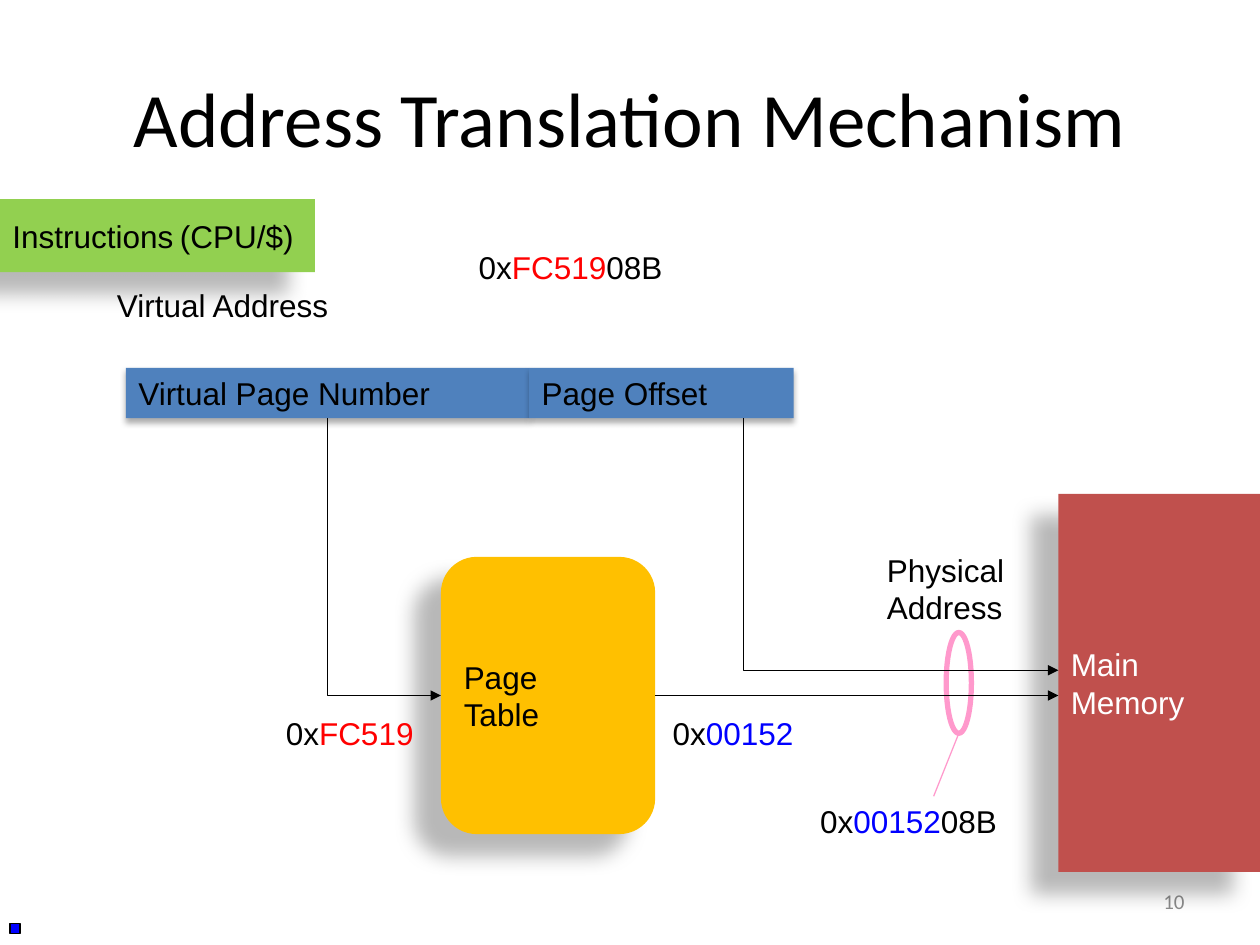
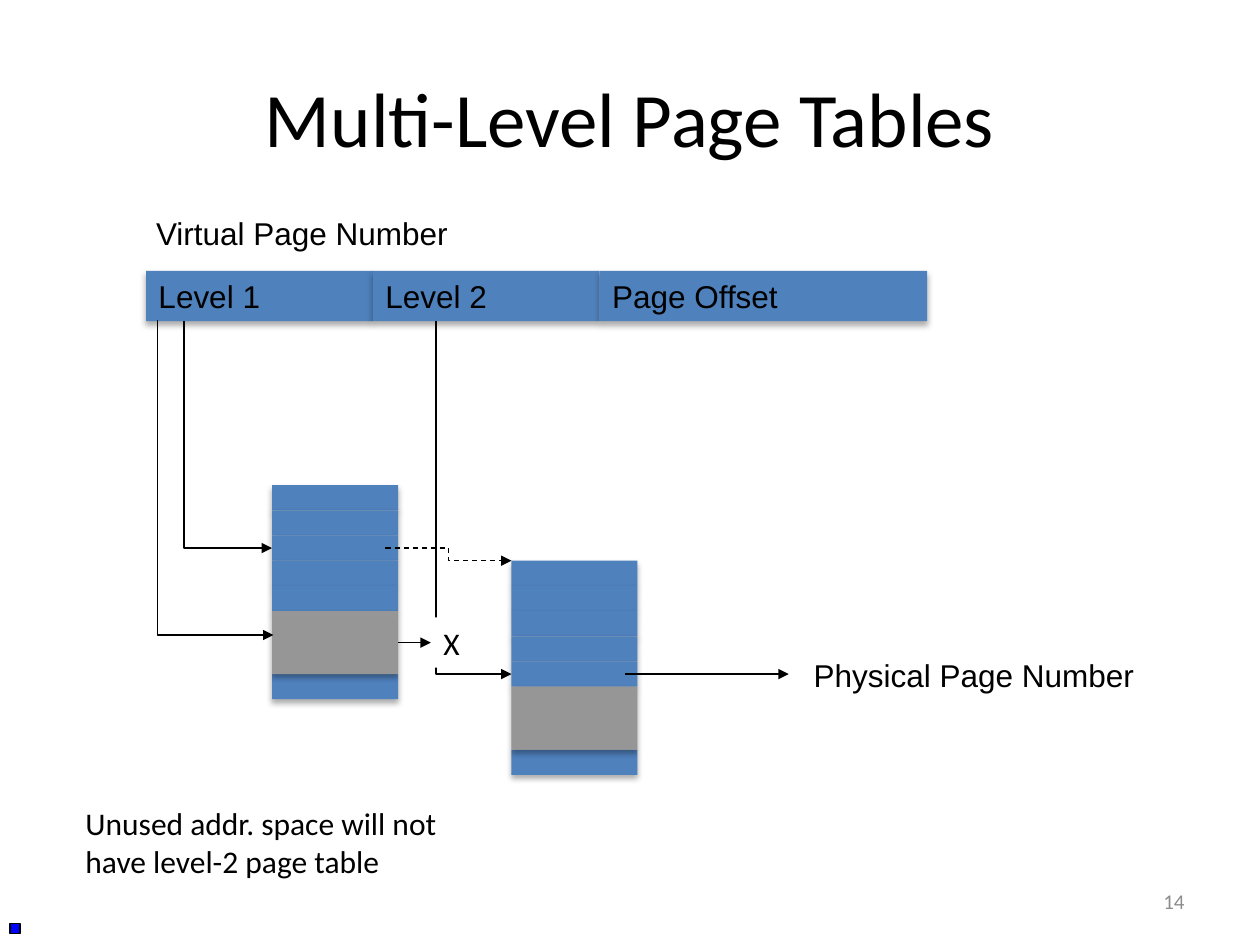
from lxml import etree
from pptx import Presentation
from pptx.dml.color import RGBColor
from pptx.enum.dml import MSO_LINE
from pptx.enum.shapes import MSO_CONNECTOR, MSO_SHAPE
from pptx.enum.text import MSO_ANCHOR, PP_ALIGN
from pptx.oxml.ns import qn
from pptx.util import Inches, Pt

RECT, ROUND, OVAL = MSO_SHAPE.RECTANGLE, MSO_SHAPE.ROUNDED_RECTANGLE, MSO_SHAPE.OVAL
STRAIGHT, DASH = MSO_CONNECTOR.STRAIGHT, MSO_LINE.DASH
LEFT, CENTER, RIGHT = PP_ALIGN.LEFT, PP_ALIGN.CENTER, PP_ALIGN.RIGHT
TOP, MIDDLE = MSO_ANCHOR.TOP, MSO_ANCHOR.MIDDLE

COLORS = {
    "black": "000000", "white": "FFFFFF", "blue": "4F81BD", "gold": "FFC000",
    "red": "C0504D", "green": "92D050", "gray": "969696", "pink": "FF99CC",
    "virtual": "FF0000", "physical": "0000FF", "number": "8C8C8C",
}
SHADOWS = {
    "soft": {"alpha": 32, "blur": 3.5, "distance": 2.2, "angle": 90},
    "deep": {"alpha": 28, "blur": 11.8, "distance": 19.7, "angle": 141},
}
PREFIX, OFFSET = ("0x", "black"), ("08B", "black")
VIRTUAL, PHYSICAL = ("FC519", "virtual"), ("00152", "physical")

TRANSLATION = {
    "title": "Address Translation Mechanism",
    "number": "10",
    "fields": (1, 2.92, [("Virtual Page Number", 3.2), ("Page Offset", 2.1)]),
    "blocks": [
        (ROUND, (3.5, 4.42, 1.7, 2.2), "gold", ["Page", "Table"], "black"),
        (RECT, (8.4, 3.92, 1.6, 3), "red", ["Main", "Memory"], "white"),
        (RECT, (0, 1.58, 2.5, 0.58), "green", ["Instructions"], "black"),
    ],
    "arrows": [
        [(2.6, 3.32), (2.6, 5.52), (3.5, 5.52)],
        [(5.2, 5.52), (8.4, 5.52)],
        [(5.9, 3.32), (5.9, 5.32), (8.4, 5.32)],
    ],
    "labels": [
        ((0.83, 2.22, 1.89, 0.4), ["Virtual Address"]),
        ((6.94, 4.32, 1.14, 0.71), ["Physical", "Address"]),
        ((3.7, 1.92, 1.67, 0.4), [[PREFIX, VIRTUAL, OFFSET]]),
        ((5.24, 5.62, 1.17, 0.4), [[PREFIX, PHYSICAL]]),
        ((2.17, 5.62, 1.23, 0.4), [[PREFIX, VIRTUAL]]),
        ((6.41, 6.32, 1.62, 0.4), [[PREFIX, PHYSICAL, OFFSET]]),
        ((1.33, 1.67, 1.11, 0.4), ["(CPU/$)"]),
    ],
}
MULTI_LEVEL = {
    "title": "Multi-Level Page Tables",
    "number": "14",
    "fields": (1.16, 2.15, [("Level 1", 1.8), ("Level 2", 1.8), ("Page Offset", 2.6)]),
    "tables": [(2.16, 3.85), (4.06, 4.45)],
    "arrows": [
        [(1.46, 2.55), (1.46, 4.35), (2.16, 4.35)],
        [(3.46, 2.55), (3.46, 5.35), (4.06, 5.35)],
        [(4.96, 5.35), (6.26, 5.35)],
        [(1.25, 2.54), (1.25, 5.04), (2.17, 5.04)],
        [(3.16, 5.1), (3.42, 5.1)],
    ],
    "dashed": [(3.06, 4.35), (3.56, 4.35), (3.56, 4.45), (4.06, 4.45)],
    "labels": [
        ((6.36, 5.16, 2.77, 0.4), ["Physical Page Number"]),
        ((1.14, 1.65, 2.54, 0.4), ["Virtual Page Number"]),
    ],
    "cross": "X",
    "note": "Unused addr. space will not have level-2 page table",
}


def rgb(name):
    return RGBColor.from_string(COLORS[name])


def write(box, lines, color="black", size=18, font="Arial", align=LEFT, anchor=TOP, wrap=False):
    frame = box.text_frame
    frame.word_wrap = wrap
    frame.vertical_anchor = anchor
    for index, line in enumerate(lines):
        para = frame.paragraphs[0] if index == 0 else frame.add_paragraph()
        para.alignment = align
        for text, tint in [(line, color)] if isinstance(line, str) else line:
            span = para.add_run()
            span.text = text
            span.font.size = Pt(size)
            span.font.name = font
            span.font.color.rgb = rgb(tint)


def add_label(page, place, lines, **style):
    write(page.shapes.add_textbox(*map(Inches, place)), lines, **style)


def add_box(page, place, fill=None, kind=RECT, line=None, width=0.75, shadow=None):
    box = page.shapes.add_shape(kind, *map(Inches, place))
    box.shadow.inherit = False
    if fill:
        box.fill.solid()
        box.fill.fore_color.rgb = rgb(fill)
    else:
        box.fill.background()
    if line:
        box.line.color.rgb = rgb(line)
        box.line.width = Pt(width)
    else:
        box.line.fill.background()
    if shadow:
        cast_shadow(box, **SHADOWS[shadow])
    return box


def cast_shadow(box, alpha, blur, distance, angle):
    effects = box.element.spPr.find(qn("a:effectLst"))
    outer = etree.SubElement(effects, qn("a:outerShdw"), blurRad=str(Pt(blur)),
                             dist=str(Pt(distance)), dir=str(angle * 60000), rotWithShape="0")
    tint = etree.SubElement(outer, qn("a:srgbClr"), val=COLORS["black"])
    etree.SubElement(tint, qn("a:alpha"), val=str(alpha * 1000))


def add_route(page, points, color="black", dash=None, arrow=True):
    spots = [(Inches(x), Inches(y)) for x, y in points]
    if len(spots) == 2:
        route = page.shapes.add_connector(STRAIGHT, *spots[0], *spots[1])
    else:
        builder = page.shapes.build_freeform(*spots[0])
        builder.add_line_segments(spots[1:], close=False)
        route = builder.convert_to_shape()
        route.fill.background()
    route.line.color.rgb = rgb(color)
    route.line.width = Pt(0.75)
    if dash:
        route.line.dash_style = dash
    if arrow:
        outline = route.element.spPr.find(qn("a:ln"))
        etree.SubElement(outline, qn("a:tailEnd"), type="triangle")
    etree.SubElement(route.element.spPr, qn("a:effectLst"))


def add_fields(page, left, top, fields):
    for text, width in fields:
        box = add_box(page, (left, top, width, 0.4), "blue", shadow="soft")
        write(box, [text], anchor=MIDDLE)
        left += width


def add_page_table(page, left, top, row=0.2, used=5, gap=0.5):
    rows = [top + row * index for index in range(used)]
    unused = top + row * used
    for y in rows + [unused + gap]:
        add_box(page, (left, y, 1, row), "blue", shadow="soft")
    add_box(page, (left, unused, 1, gap), "gray", shadow="soft")


def start_page(deck, content):
    page = deck.slides.add_slide(deck.slide_layouts[6])
    add_label(page, (0.5, 0.3, 9, 1.25), [content["title"]], size=44, font="Calibri",
              align=CENTER, anchor=MIDDLE, wrap=True)
    add_label(page, (7.17, 6.95, 2.33, 0.4), [content["number"]], color="number", size=12,
              font="Calibri", align=RIGHT, anchor=MIDDLE, wrap=True)
    add_box(page, (0.08, 7.33, 0.08, 0.08), "physical", line="black")
    add_fields(page, *content["fields"])
    return page


def add_flow(page, content):
    for points in content["arrows"]:
        add_route(page, points)
    for place, lines in content["labels"]:
        add_label(page, place, lines)


def build_translation(deck):
    page = start_page(deck, TRANSLATION)
    add_box(page, (7.51, 5.02, 0.2, 0.8), kind=OVAL, line="pink", width=3)
    for kind, place, fill, lines, color in TRANSLATION["blocks"]:
        box = add_box(page, place, fill, kind, shadow="deep")
        write(box, lines, color=color, anchor=MIDDLE)
    add_flow(page, TRANSLATION)
    add_route(page, [(7.61, 5.82), (7.41, 6.32)], "pink", arrow=False)


def build_multi_level(deck):
    page = start_page(deck, MULTI_LEVEL)
    for left, top in MULTI_LEVEL["tables"]:
        add_page_table(page, left, top)
    add_route(page, MULTI_LEVEL["dashed"], dash=DASH)
    add_flow(page, MULTI_LEVEL)
    cross = add_box(page, (3.42, 4.9, 0.33, 0.4), "white")
    write(cross, [MULTI_LEVEL["cross"]], font="Calibri", wrap=True)
    add_label(page, (0.58, 6.33, 3.42, 0.71), [MULTI_LEVEL["note"]], font="Calibri", wrap=True)


def main():
    deck = Presentation()
    deck.slide_width, deck.slide_height = Inches(10), Inches(7.5)
    build_translation(deck)
    build_multi_level(deck)
    deck.save("out.pptx")


if __name__ == "__main__":
    main()
